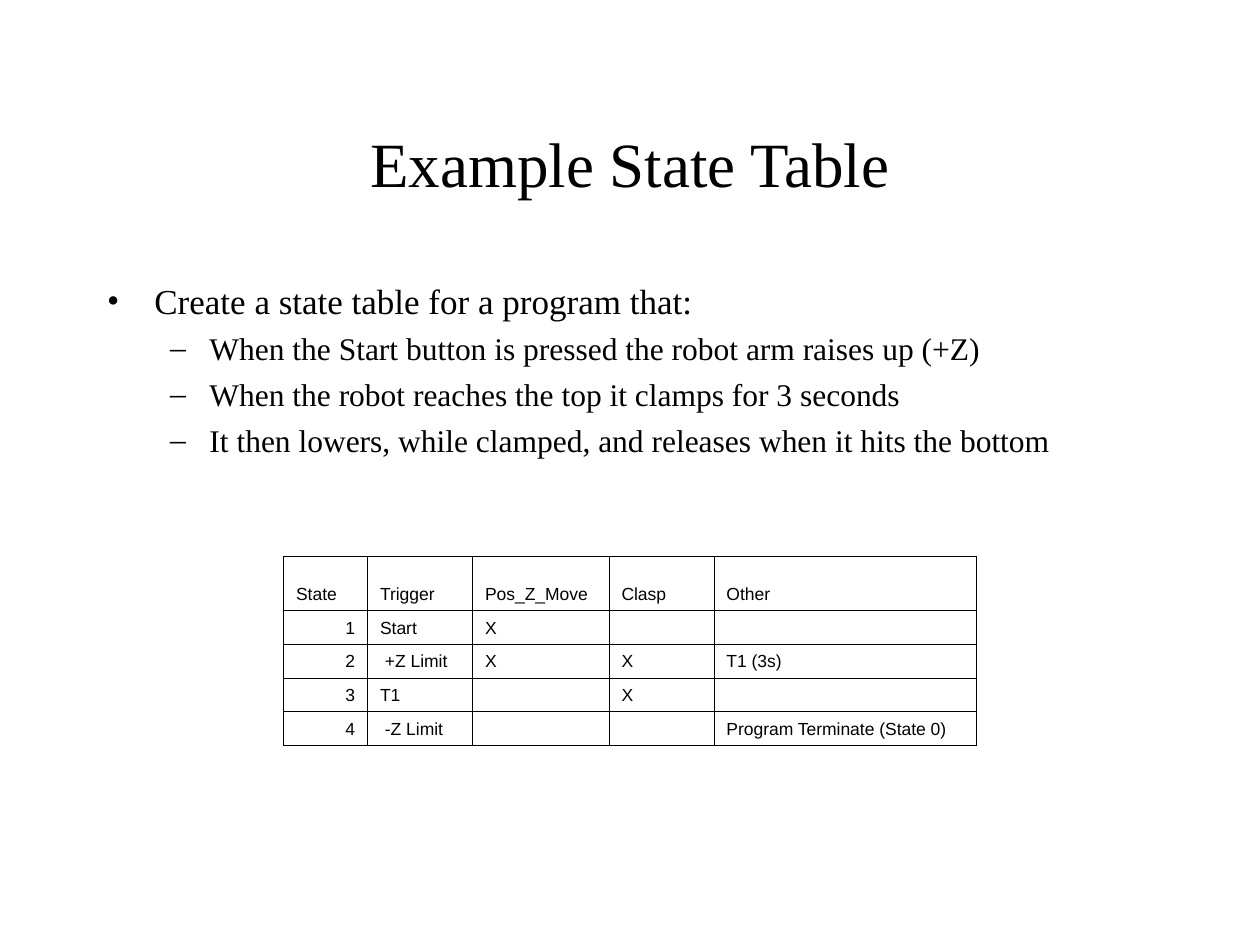
from dataclasses import dataclass

from lxml.etree import SubElement
from pptx import Presentation
from pptx.dml.color import RGBColor
from pptx.enum.text import MSO_ANCHOR as Anchor
from pptx.enum.text import MSO_AUTO_SIZE as AutoSize
from pptx.enum.text import PP_ALIGN as Align
from pptx.oxml.ns import qn
from pptx.util import Pt


@dataclass(frozen=True)
class Theme:
    ink: str = "000000"
    paper: str = "FFFFFF"
    text_font: str = "Times New Roman"
    table_font: str = "Arial"
    title_size: float = 36
    table_size: float = 10
    border_width: float = 0.45
    # Per list level: size, space before, left margin, hanging indent, bullet
    levels: tuple = ((20, 5, 27, 27, "•"), (18, 4.5, 58.5, 22.5, "–"))


class SlideBuilder:
    def __init__(self, slide, theme):
        self.slide = slide
        self.theme = theme
        background = slide.background.fill
        background.solid()
        background.fore_color.rgb = RGBColor.from_string(theme.paper)

    def set_font(self, paragraph, name, size):
        font = paragraph.font
        font.name = name
        font.size = Pt(size)
        font.color.rgb = RGBColor.from_string(self.theme.ink)

    def place(self, shape, left, top, width, height):
        shape.left, shape.top = Pt(left), Pt(top)
        shape.width, shape.height = Pt(width), Pt(height)
        shape.text_frame.auto_size = AutoSize.NONE
        shape.text_frame.word_wrap = True
        return shape.text_frame

    def title(self, text, *box):
        frame = self.place(self.slide.shapes.title, *box)
        frame.vertical_anchor = Anchor.MIDDLE
        frame.text = text
        paragraph = frame.paragraphs[0]
        paragraph.alignment = Align.CENTER
        self.set_font(paragraph, self.theme.text_font, self.theme.title_size)

    def bullets(self, items, *box):
        frame = self.place(self.slide.placeholders[1], *box)
        frame.vertical_anchor = Anchor.TOP
        frame.text = "\n".join(text for _, text in items)
        for paragraph, (level, _) in zip(frame.paragraphs, items):
            size, space, margin, hanging, bullet = self.theme.levels[level]
            paragraph.level = level
            self.bullet(paragraph, margin, hanging, bullet)
            paragraph.space_before = Pt(space)
            self.set_font(paragraph, self.theme.text_font, size)

    def bullet(self, paragraph, margin, hanging, character):
        properties = paragraph._p.get_or_add_pPr()
        properties.set("marL", str(Pt(margin)))
        properties.set("indent", str(-Pt(hanging)))
        color = SubElement(properties, qn("a:buClr"))
        SubElement(color, qn("a:srgbClr"), val=self.theme.ink)
        SubElement(properties, qn("a:buFont"), typeface=self.theme.text_font)
        SubElement(properties, qn("a:buChar"), char=character)

    def table(self, rows, left, top, widths, heights):
        table = self.slide.shapes.add_table(
            len(rows), len(widths), Pt(left), Pt(top),
            Pt(sum(widths)), Pt(sum(heights))).table
        table.first_row = table.horz_banding = False
        for column, width in zip(table.columns, widths):
            column.width = Pt(width)
        for row, height, texts in zip(table.rows, heights, rows):
            row.height = Pt(height)
            for cell, text in zip(row.cells, texts):
                self.cell(cell, text)

    def cell(self, cell, text):
        self.borders(cell)
        cell.fill.background()
        cell.vertical_anchor = Anchor.BOTTOM
        cell.text = text
        paragraph = cell.text_frame.paragraphs[0]
        paragraph.alignment = Align.RIGHT if text.isdigit() else Align.LEFT
        self.set_font(paragraph, self.theme.table_font, self.theme.table_size)
        if not text:  # keeps empty cells from stretching their row
            SubElement(paragraph._p, qn("a:endParaRPr"),
                       sz=str(self.theme.table_size * 100))

    def borders(self, cell):
        properties = cell._tc.get_or_add_tcPr()
        for side in ("lnL", "lnR", "lnT", "lnB"):
            line = SubElement(properties, qn(f"a:{side}"),
                              w=str(Pt(self.theme.border_width)))
            fill = SubElement(line, qn("a:solidFill"))
            SubElement(fill, qn("a:srgbClr"), val=self.theme.ink)


def main():
    presentation = Presentation()
    presentation.slide_width, presentation.slide_height = Pt(720), Pt(540)
    slide = presentation.slides.add_slide(presentation.slide_layouts[1])
    builder = SlideBuilder(slide, Theme())

    # Title and task description
    builder.title("Example State Table", 54, 48, 612, 90)
    builder.bullets([
        (0, "Create a state table for a program that:"),
        (1, "When the Start button is pressed the robot arm raises up (+Z)"),
        (1, "When the robot reaches the top it clamps for 3 seconds"),
        (1, "It then lowers, while clamped, and releases when it hits the bottom"),
    ], 54, 156, 612, 120)

    # State table
    builder.table([
        ("State", "Trigger", "Pos_Z_Move", "Clasp", "Other"),
        ("1", "Start", "X", "", ""),
        ("2", " +Z Limit", "X", "X", "T1 (3s)"),
        ("3", "T1", "", "X", ""),
        ("4", " -Z Limit", "", "", "Program Terminate (State 0)"),
    ], 162, 318, widths=(48, 60, 78, 60, 150), heights=[31] + [19.25] * 4)

    presentation.save("out.pptx")


if __name__ == "__main__":
    main()
